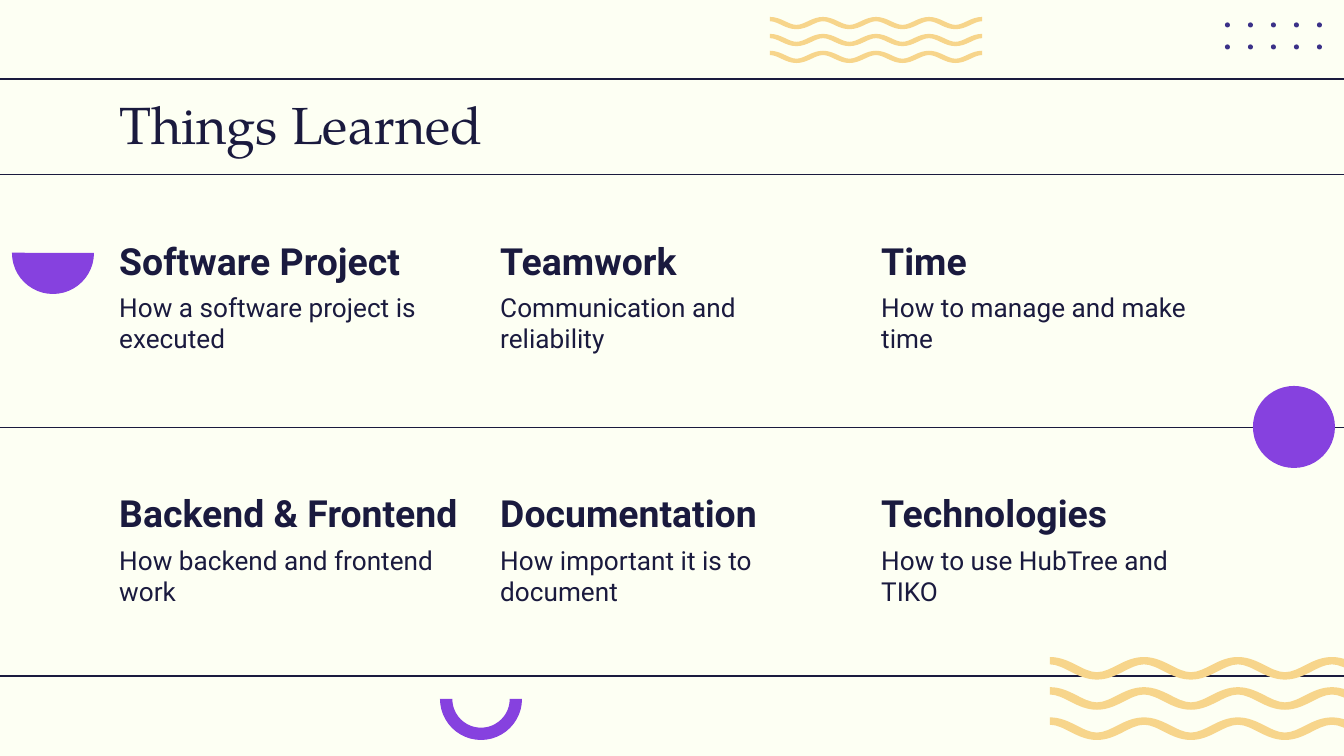
from lxml import etree
from pptx import Presentation, util as u
from pptx.dml.color import RGBColor
from pptx.enum import shapes, text
from pptx.oxml.ns import qn

COLOURS = {
    "paper": "FDFFF3",
    "ink": "1A1A3E",
    "purple": "8641DF",
    "dot": "3B3188",
    "wave": "F7D58B",
}
TITLE = "Things Learned"
LESSONS = [
    [
        ("Software Project", "How a software project is executed"),
        ("Teamwork", "Communication and reliability"),
        ("Time", "How to manage and make time"),
    ],
    [
        ("Backend & Frontend", "How backend and frontend work"),
        ("Documentation", "How important it is to document"),
        ("Technologies", "How to use HubTree and TIKO"),
    ],
]
RULES_BEHIND = [79, 676]
RULES_FRONT = [174.5, 427.5]
TOP_WAVES = dict(left=770, top=17, width=212, amplitude=8, thickness=4.3, gap=16.9)
CORNER_WAVES = dict(left=1050, top=657, width=376, amplitude=15.2, thickness=7.4, gap=30.2)
HALF_WAVES = 8
WIDE_BEND, TIGHT_BEND = 0.42, 0.3
DOT_COLUMNS, DOT_ROWS = 5, 2
DISC = 82

PX = 914400 / 134.4


def px(value):
    return u.Emu(round(value * PX))


def colour(name):
    return RGBColor.from_string(COLOURS[name])


def paint(shape, name):
    shape.fill.solid()
    shape.fill.fore_color.rgb = colour(name)
    shape.line.fill.background()
    shape.shadow.inherit = False


def add_preset(slide, kind, left, top, size, name, adjustments=()):
    shape = slide.shapes.add_shape(kind, px(left), px(top), px(size), px(size))
    for index, value in enumerate(adjustments):
        shape.adjustments[index] = value
    paint(shape, name)
    return shape


def add_rule(slide, y):
    rule = slide.shapes.add_connector(
        shapes.MSO_CONNECTOR.STRAIGHT, px(-8), px(y), px(1352), px(y))
    rule.line.color.rgb = colour("ink")
    rule.line.width = u.Pt(0.75)
    etree.SubElement(rule._element.spPr, qn("a:effectLst"))


def bend_segments(shape):
    start_x = start_y = 0
    for point in list(shape._element.spPr.iter(qn("a:pt"))):
        x, y = int(point.get("x")), int(point.get("y"))
        segment = point.getparent()
        if segment.tag == qn("a:lnTo") and x != start_x:
            rising_bend = (y < start_y) == (x > start_x)
            first, last = ((TIGHT_BEND, WIDE_BEND) if rising_bend
                           else (WIDE_BEND, TIGHT_BEND))
            if x < start_x:
                first, last = ((TIGHT_BEND, WIDE_BEND) if y > start_y
                               else (WIDE_BEND, TIGHT_BEND))
            else:
                first, last = ((TIGHT_BEND, WIDE_BEND) if y < start_y
                               else (WIDE_BEND, TIGHT_BEND))
            run = x - start_x
            segment.tag = qn("a:cubicBezTo")
            controls = [(start_x + first * run, start_y), (x - last * run, y)]
            for index, (control_x, control_y) in enumerate(controls):
                control = etree.Element(qn("a:pt"))
                control.set("x", str(round(control_x)))
                control.set("y", str(control_y))
                segment.insert(index, control)
        start_x, start_y = x, y


def add_waves(slide, left, top, width, amplitude, thickness, gap):
    upper = [(left + width * index / HALF_WAVES, top + amplitude * (index % 2))
             for index in range(HALF_WAVES + 1)]
    lower = [(x, y + thickness) for x, y in reversed(upper)]
    for band in range(3):
        outline = [(px(x), px(y + band * gap)) for x, y in upper + lower]
        builder = slide.shapes.build_freeform(*outline[0])
        builder.add_line_segments(outline[1:], close=True)
        wave = builder.convert_to_shape()
        bend_segments(wave)
        paint(wave, "wave")


def add_text(slide, words, left, top, width, height, size, font="Roboto",
             bold=False, anchor=text.MSO_ANCHOR.TOP):
    box = slide.shapes.add_textbox(px(left), px(top), px(width), px(height))
    frame = box.text_frame
    frame.text = words
    frame.word_wrap = True
    frame.vertical_anchor = anchor
    frame.margin_left = frame.margin_right = u.Inches(0.1)
    frame.margin_top = frame.margin_bottom = u.Inches(0.1)
    run_font = frame.paragraphs[0].runs[0].font
    run_font.name = font
    run_font.size = u.Pt(size)
    run_font.bold = bold
    run_font.color.rgb = colour("ink")


def main():
    presentation = Presentation()
    presentation.slide_width, presentation.slide_height = px(1344), px(756)
    slide = presentation.slides.add_slide(presentation.slide_layouts[6])
    slide.background.fill.solid()
    slide.background.fill.fore_color.rgb = colour("paper")

    preset = shapes.MSO_SHAPE
    add_preset(slide, preset.PIE, 12, 212, DISC, "purple", (0, 108.25))
    add_waves(slide, **TOP_WAVES)
    for row in range(DOT_ROWS):
        for column in range(DOT_COLUMNS):
            add_preset(slide, preset.OVAL, 1225 + 23 * column, 22.5 + 22 * row, 5, "dot")
    for y in RULES_BEHIND:
        add_rule(slide, y)

    add_text(slide, TITLE, 106, 79, 1132, 85, 28, font="TeX Gyre Pagella")
    for row, lessons in enumerate(LESSONS):
        for column, (heading, detail) in enumerate(lessons):
            left, top = 106 + 381 * column, 230 + 252.5 * row
            add_text(slide, detail, left, top + 48, 370, 93, 14)
            add_text(slide, heading, left, top, 370, 66, 20, bold=True,
                     anchor=text.MSO_ANCHOR.BOTTOM)

    for y in RULES_FRONT:
        add_rule(slide, y)
    arc = add_preset(slide, preset.BLOCK_ARC, 440, 658, DISC, "purple", (108, 0.08, 0.15))
    arc.rotation = 180
    add_preset(slide, preset.OVAL, 1253, 386, DISC, "purple")
    add_waves(slide, **CORNER_WAVES)
    presentation.save("out.pptx")


if __name__ == "__main__":
    main()
